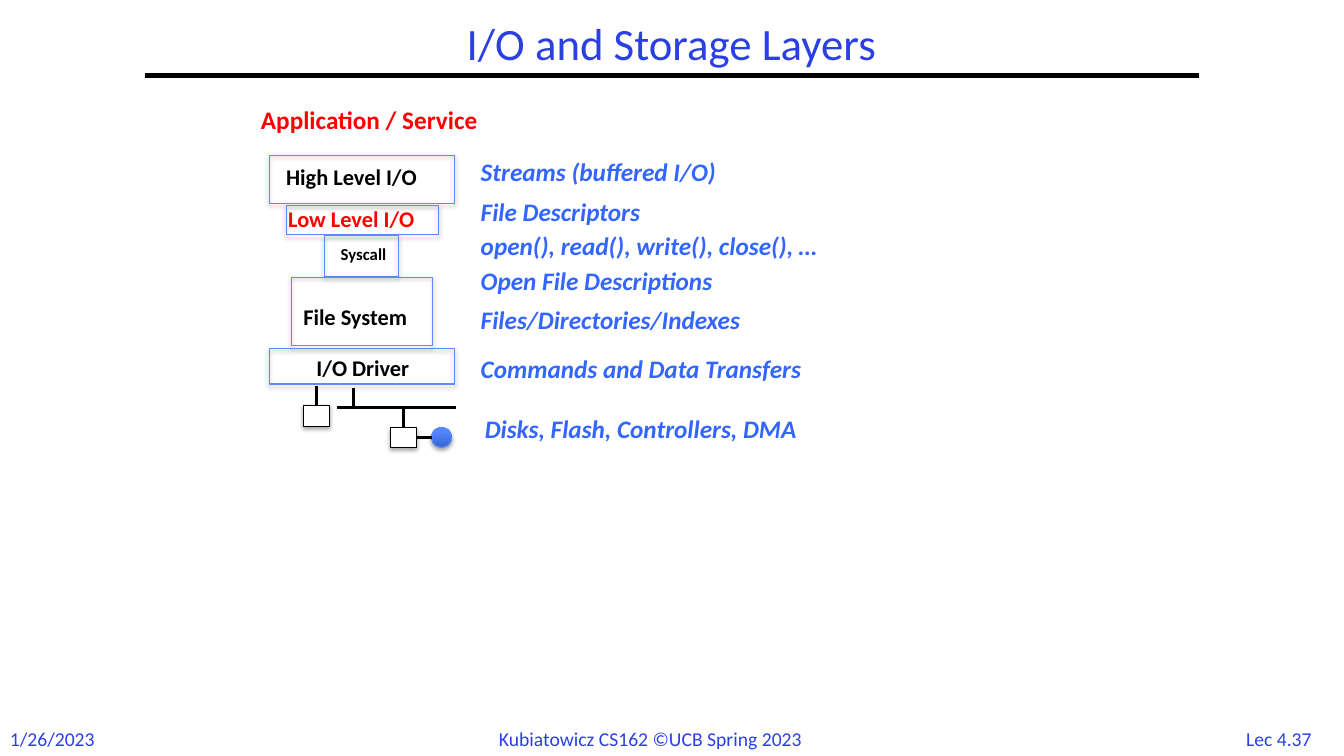
from pptx import Presentation
from pptx.dml.color import RGBColor
from pptx.enum.shapes import MSO_CONNECTOR as Link, MSO_SHAPE as Form
from pptx.enum.text import MSO_ANCHOR as Anchor, PP_ALIGN as Align
from pptx.oxml import parse_xml
from pptx.oxml.ns import nsdecls
from pptx.util import Inches, Pt

BLACK = RGBColor(0x00, 0x00, 0x00)
WHITE = RGBColor(0xFF, 0xFF, 0xFF)
RED = RGBColor(0xFF, 0x00, 0x00)
NAVY = RGBColor(0x2A, 0x40, 0xE2)
BLUE = RGBColor(0x33, 0x66, 0xFF)
EDGE = RGBColor(0x5B, 0x8A, 0xFB)
DARK = RGBColor(0x37, 0x64, 0xCE)
LIGHT = RGBColor(0x54, 0x87, 0xFF)

SHADE = (f'<a:effectLst {nsdecls("a")}><a:outerShdw blurRad="39370" dist="22860" '
         'dir="5400000" rotWithShape="0"><a:srgbClr val="000000">'
         '<a:alpha val="35000"/></a:srgbClr></a:outerShdw></a:effectLst>')
PLAIN = f'<a:effectLst {nsdecls("a")}/>'

deck = Presentation()
deck.slide_width, deck.slide_height = Inches(13.33), Inches(7.5)
slide = deck.slides.add_slide(deck.slide_layouts[6])
shapes = slide.shapes


def write(text, x, y, w, h, size=18, color=BLUE, bold=False, slant=False,
          align=Align.LEFT, anchor=Anchor.TOP, space=1.0):
    frame = shapes.add_textbox(Inches(x), Inches(y), Inches(w), Inches(h)).text_frame
    frame.word_wrap = True
    frame.vertical_anchor = anchor
    para = frame.paragraphs[0]
    para.alignment = align
    para.line_spacing = space
    run = para.add_run()
    run.text = text
    font = run.font
    font.name, font.size = "Calibri", Pt(size)
    font.bold, font.italic = bold, slant
    font.color.rgb = color


def draw(form, x, y, w, h, edge):
    shape = shapes.add_shape(form, Inches(x), Inches(y), Inches(w), Inches(h))
    shape.fill.background()
    shape.line.color.rgb = edge
    shape.line.width = Pt(0.75)
    shape._element.spPr.append(parse_xml(SHADE))
    return shape


write("I/O and Storage Layers", 1.44, 0.17, 10.44, 0.58, size=32, color=NAVY,
      align=Align.CENTER, anchor=Anchor.MIDDLE, space=0.9)
write("1/26/2023", 0, 7.16, 1.07, 0.34, size=14, color=NAVY)
write("Kubiatowicz CS162 ©UCB Spring 2023", 4.85, 7.16, 3.63, 0.34, size=14, color=NAVY)
write("Lec 4.37", 12.2, 7.16, 0.97, 0.33, size=14, color=NAVY, align=Align.CENTER)

write("Application / Service", 2.49, 0.99, 2.68, 0.4, color=RED, bold=True)

layers = [
    ("High Level I/O", (2.74, 1.57, 1.76, 0.37), 16, BLACK, (2.67, 1.54, 1.84, 0.48)),
    ("Low Level I/O", (2.76, 1.99, 1.71, 0.37), 16, RED, (2.84, 2.04, 1.51, 0.29)),
    ("Syscall", (3.28, 2.37, 0.78, 0.3), 12, BLACK, (3.22, 2.34, 0.73, 0.4)),
    ("File System", (2.91, 2.96, 1.45, 0.37), 16, BLACK, (2.89, 2.75, 1.4, 0.68)),
    ("I/O Driver", (3.04, 3.46, 1.22, 0.37), 16, BLACK, (2.67, 3.46, 1.84, 0.35)),
]
for name, place, size, color, box in layers:
    write(name, *place, size=size, color=color, bold=True)
    draw(Form.RECTANGLE, *box, EDGE)

notes = [
    ("Streams (buffered I/O)", 4.67, 1.5),
    ("File Descriptors", 4.67, 1.9),
    ("open(), read(), write(), close(), …", 4.67, 2.24),
    ("Open File Descriptions", 4.67, 2.58),
    ("Files/Directories/Indexes", 4.67, 2.97),
    ("Commands and Data Transfers", 4.67, 3.46),
    ("Disks, Flash, Controllers, DMA", 4.71, 4.05),
]
for text, x, y in notes:
    write(text, x, y, 4.06, 0.4, bold=True, slant=True)

flash = draw(Form.RECTANGLE, 3.01, 4.02, 0.26, 0.21, BLACK)
chip = draw(Form.RECTANGLE, 3.87, 4.24, 0.26, 0.2, BLACK)
for unit in (flash, chip):
    unit.fill.solid()
    unit.fill.fore_color.rgb = WHITE

disk = draw(Form.OVAL, 4.28, 4.24, 0.2, 0.2, EDGE)
disk.fill.gradient()
disk.fill.gradient_angle = 90
for stop, spot, color in zip(disk.fill.gradient_stops, (0, 0.8), (DARK, LIGHT)):
    stop.position = spot
    stop.color.rgb = color

wires = [
    (1.44, 0.75, 11.89, 0.75, 3, None, None),
    (3.34, 4.04, 4.52, 4.04, 2, None, None),
    (3.51, 3.85, 3.51, 4.04, 2, None, None),
    (3.14, 3.83, 3.14, 4.02, 2, None, (flash, 0)),
    (4, 4.04, 4, 4.24, 2, None, (chip, 0)),
    (4.13, 4.34, 4.28, 4.34, 2, (chip, 3), (disk, 2)),
]
for x1, y1, x2, y2, width, start, end in wires:
    wire = shapes.add_connector(Link.STRAIGHT, Inches(x1), Inches(y1), Inches(x2), Inches(y2))
    wire.line.color.rgb = BLACK
    wire.line.width = Pt(width)
    wire._element.spPr.append(parse_xml(PLAIN))
    if start:
        wire.begin_connect(*start)
    if end:
        wire.end_connect(*end)
        wire.end_x, wire.end_y = Inches(x2), Inches(y2)

deck.save("out.pptx")
